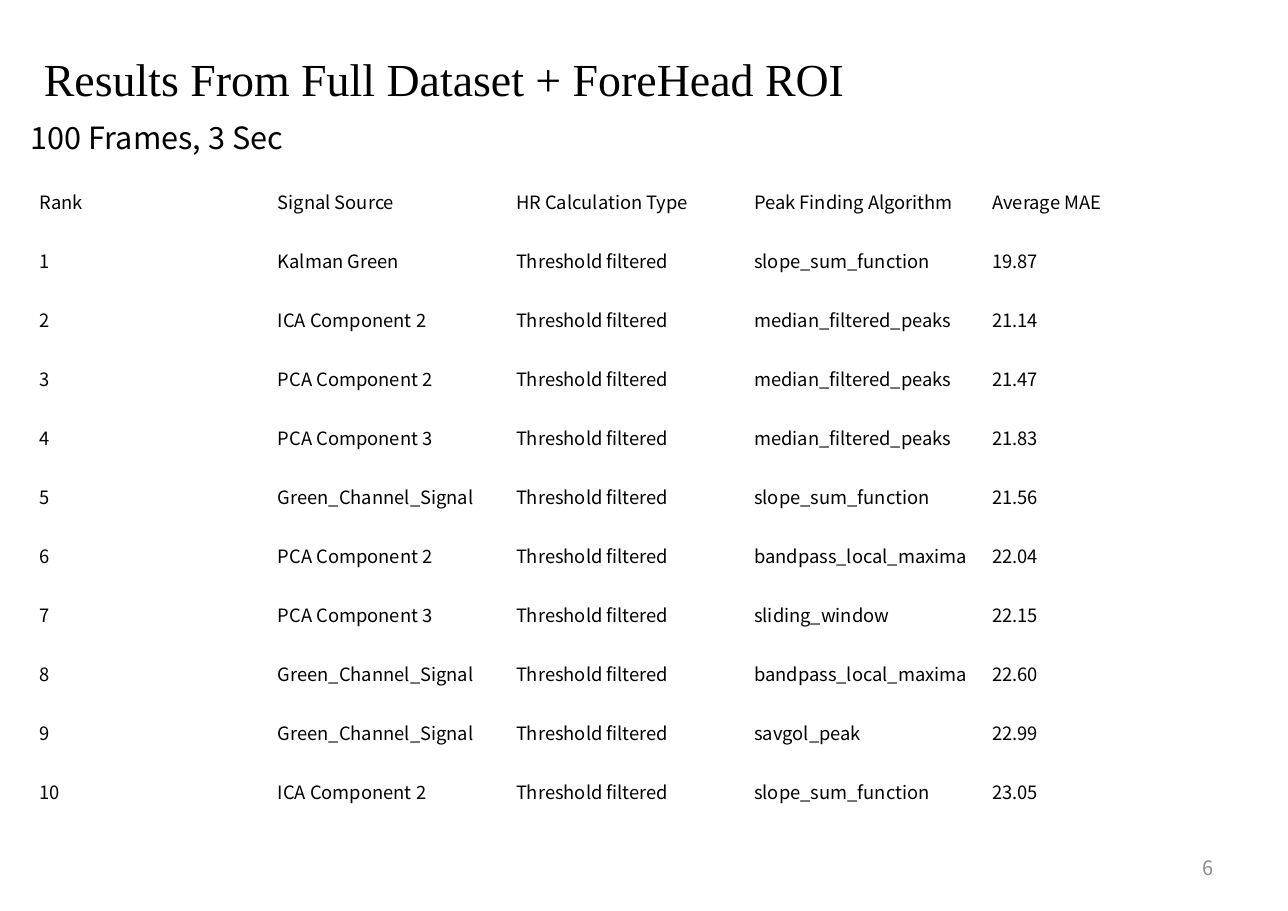
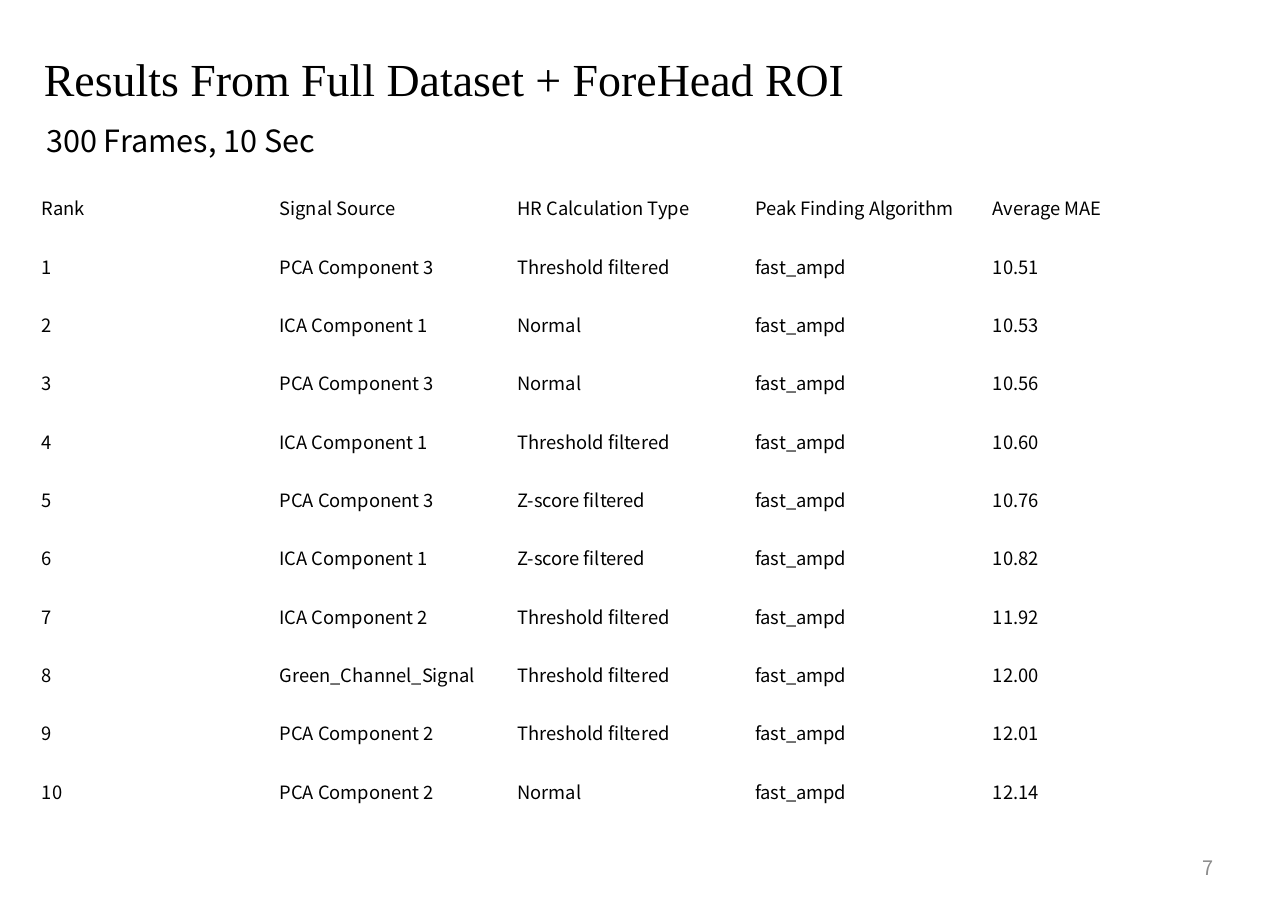
from dataclasses import dataclass
from typing import NamedTuple

from pptx import Presentation
from pptx import util as u
from pptx.dml.color import RGBColor
from pptx.enum import text as t

PX = 9144  # 100 px to the inch
SANS, SERIF = "Noto Sans CJK KR", "Times New Roman"
BLACK, GRAY, WHITE = "000000", "8C8C8C", "FFFFFF"
TITLE = "Results From Full Dataset + ForeHead ROI"
HEADS = ("Rank", "Signal Source", "HR Calculation Type",
         "Peak Finding Algorithm", "Average MAE")
THRESH, ZSCORE, NORMAL = "Threshold filtered", "Z-score filtered", "Normal"
GREEN = "Green_Channel_Signal"


class Box(NamedTuple):
    left: int
    top: int
    width: int
    height: int

    def emu(self) -> list[int]:
        return [n * PX for n in self]


@dataclass(frozen=True)
class Style:
    font: str
    size: int
    color: str = BLACK


class Score(NamedTuple):
    signal: str
    rate: str
    peak: str
    error: str


@dataclass(frozen=True)
class Page:
    number: int
    label: str
    label_box: Box
    grid_box: Box
    scores: list[Score]


HEAD = Style(SERIF, 30)
LABEL = Style(SANS, 20)
BODY = Style(SANS, 12)
FOOT = Style(SANS, 13, GRAY)

PAGES = [
    Page(6, "100 Frames, 3 Sec", Box(18, 103, 368, 44), Box(30, 156, 1081, 589), [
        Score("Kalman Green", THRESH, "slope_sum_function", "19.87"),
        Score("ICA Component 2", THRESH, "median_filtered_peaks", "21.14"),
        Score("PCA Component 2", THRESH, "median_filtered_peaks", "21.47"),
        Score("PCA Component 3", THRESH, "median_filtered_peaks", "21.83"),
        Score(GREEN, THRESH, "slope_sum_function", "21.56"),
        Score("PCA Component 2", THRESH, "bandpass_local_maxima", "22.04"),
        Score("PCA Component 3", THRESH, "sliding_window", "22.15"),
        Score(GREEN, THRESH, "bandpass_local_maxima", "22.60"),
        Score(GREEN, THRESH, "savgol_peak", "22.99"),
        Score("ICA Component 2", THRESH, "slope_sum_function", "23.05"),
    ]),
    Page(7, "300 Frames, 10 Sec", Box(32, 106, 368, 44), Box(32, 162, 1079, 583), [
        Score("PCA Component 3", THRESH, "fast_ampd", "10.51"),
        Score("ICA Component 1", NORMAL, "fast_ampd", "10.53"),
        Score("PCA Component 3", NORMAL, "fast_ampd", "10.56"),
        Score("ICA Component 1", THRESH, "fast_ampd", "10.60"),
        Score("PCA Component 3", ZSCORE, "fast_ampd", "10.76"),
        Score("ICA Component 1", ZSCORE, "fast_ampd", "10.82"),
        Score("ICA Component 2", THRESH, "fast_ampd", "11.92"),
        Score(GREEN, THRESH, "fast_ampd", "12.00"),
        Score("PCA Component 2", THRESH, "fast_ampd", "12.01"),
        Score("PCA Component 2", NORMAL, "fast_ampd", "12.14"),
    ]),
]


def paint(fmt, color: str) -> None:
    """Give a fill a solid colour."""
    fmt.solid()
    fmt.fore_color.rgb = RGBColor.from_string(color)


def write(frame, words: str, style: Style):
    """Set the text of a frame and return its only paragraph."""
    frame.text = words
    para = frame.paragraphs[0]
    font = para.runs[0].font
    font.name, font.size = style.font, u.Pt(style.size)
    paint(font.fill, style.color)
    return para


def add_text(slide, box: Box, words: str, style: Style, grow: bool = True):
    frame = slide.shapes.add_textbox(*box.emu()).text_frame
    frame.word_wrap = True
    if grow:
        frame.auto_size = t.MSO_AUTO_SIZE.SHAPE_TO_FIT_TEXT
    else:
        frame.vertical_anchor = t.MSO_ANCHOR.MIDDLE
    return write(frame, words, style)


def add_grid(slide, box: Box, scores: list[Score]) -> None:
    rows = [HEADS] + [(str(rank), *score) for rank, score in enumerate(scores, 1)]
    grid = slide.shapes.add_table(len(rows), len(HEADS), *box.emu()).table
    grid.first_row = grid.horz_banding = False
    for col in grid.columns:
        col.width = box.width * PX // len(HEADS)
    for line, words in zip(grid.rows, rows):
        line.height = box.height * PX // len(rows)
        for cell, word in zip(line.cells, words):
            cell.fill.background()
            cell.vertical_anchor = t.MSO_ANCHOR.MIDDLE
            cell.margin_left = cell.margin_right = 6 * PX
            cell.margin_top = cell.margin_bottom = 3 * PX
            write(cell.text_frame, word, BODY)


def add_page(deck, page: Page) -> None:
    slide = deck.slides.add_slide(deck.slide_layouts[6])
    paint(slide.background.fill, WHITE)
    title = add_text(slide, Box(30, 16, 911, 78), TITLE, HEAD)
    title.line_spacing = 1.5
    foot = add_text(slide, Box(838, 766, 273, 44), str(page.number), FOOT, grow=False)
    foot.alignment = t.PP_ALIGN.RIGHT
    add_text(slide, page.label_box, page.label, LABEL)
    add_grid(slide, page.grid_box, page.scores)


def main() -> None:
    deck = Presentation()
    deck.slide_width, deck.slide_height = 1169 * PX, 827 * PX
    for page in PAGES:
        add_page(deck, page)
    deck.save("out.pptx")


if __name__ == "__main__":
    main()
